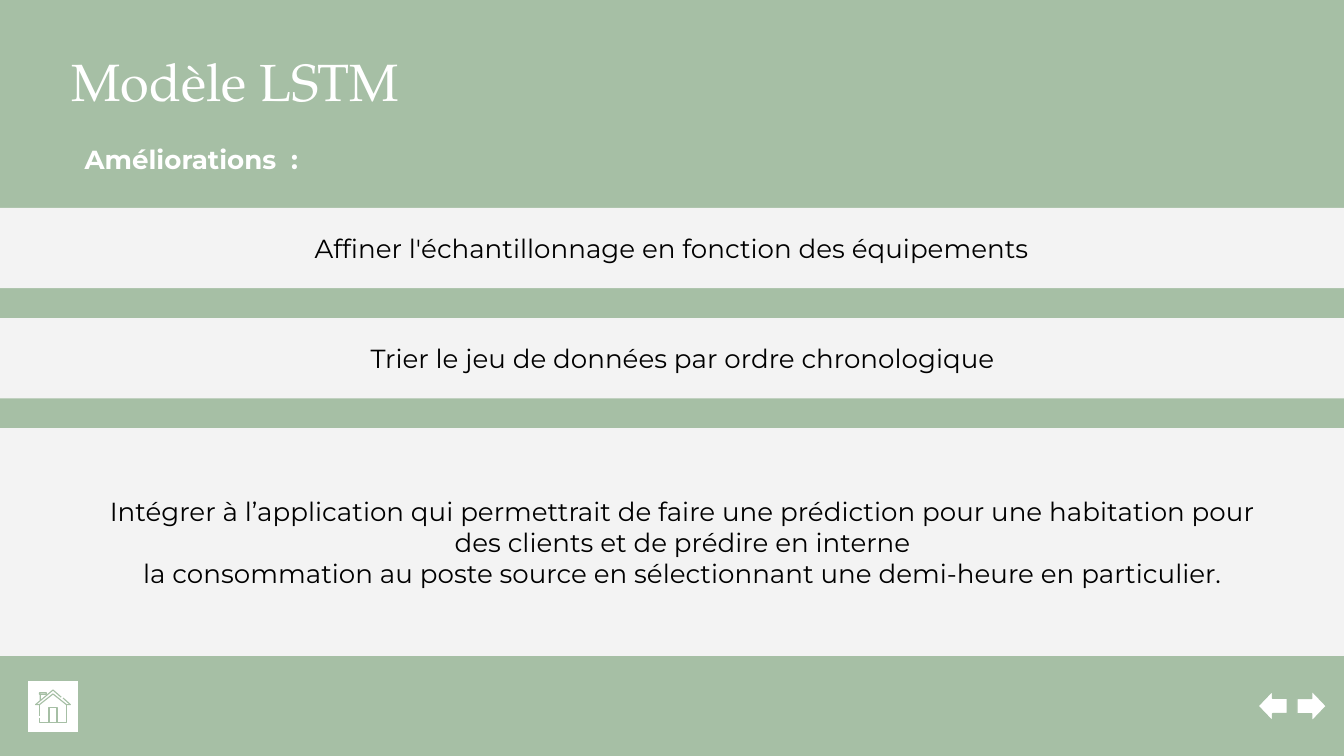
from pptx import Presentation
from pptx.dml.color import RGBColor
from pptx.enum.shapes import MSO_SHAPE
from pptx.enum.text import MSO_ANCHOR, MSO_AUTO_SIZE, PP_ALIGN
from pptx.util import Pt

COLORS = {"sage": "A6BFA5", "white": "FFFFFF", "band": "F3F3F3", "black": "000000"}
BODY_FONT = "Montserrat"
TITLE_FONT = "TeX Gyre Pagella"

# Bands: left, top, height, lines
BAND_WIDTH = 747.4
BANDS = [
    (-13.7, 111.4, 43, ["Affiner l'échantillonnage en fonction des équipements"]),
    (-7.9, 170.4, 43, ["Trier le jeu de données par ordre chronologique"]),
    (-7.9, 229.4, 122, [
        "Intégrer à l’application qui permettrait de faire une prédiction pour une habitation pour",
        "des clients et de prédire en interne",
        "la consommation au poste source en sélectionnant une demi-heure en particulier.",
    ]),
]

# Strokes of the house icon
ROOF = [(32.8, 373.5), (28.4, 369.7), (19.1, 377.5), (21.2, 377.5), (28.4, 371.8),
        (35.6, 377.5), (37.7, 377.5), (33.8, 374)]
CHIMNEY = [(21.6, 375.4), (21.6, 372), (21.2, 372), (21.2, 371.2), (24.8, 371.2),
           (24.8, 372.1), (21.6, 372)]
LEFT_WALL = [(21.2, 377.5), (21.2, 383.4)]
BASE = [(21.2, 384.6), (21.2, 387.1), (35.6, 387.1), (35.6, 377.5)]
DOOR = [(26.3, 387.1), (26.3, 379.3), (30.6, 379.3), (30.6, 387.1)]


def rgb(name):
    return RGBColor.from_string(COLORS[name])


def write_text(shape, lines, size=14, font=BODY_FONT, color="black", bold=False,
               align=PP_ALIGN.LEFT, anchor=MSO_ANCHOR.TOP):
    frame = shape.text_frame
    frame.word_wrap = True
    frame.auto_size = MSO_AUTO_SIZE.NONE
    frame.vertical_anchor = anchor
    frame.margin_left = frame.margin_right = Pt(7.2)
    frame.margin_top = frame.margin_bottom = Pt(7.2)
    frame.text = "\n".join(lines)
    for paragraph in frame.paragraphs:
        paragraph.alignment = align
        paragraph.font.size = Pt(size)
        paragraph.font.name = font
        paragraph.font.bold = bold
        paragraph.font.color.rgb = rgb(color)


def add_block(slide, preset, left, top, width, height, fill, line=None):
    block = slide.shapes.add_shape(preset, Pt(left), Pt(top), Pt(width), Pt(height))
    block.shadow.inherit = False
    block.fill.solid()
    block.fill.fore_color.rgb = rgb(fill)
    if line:
        block.line.color.rgb = rgb(line)
        block.line.width = Pt(0.75)
    else:
        block.line.fill.background()
    return block


def add_strokes(slide, strokes, color, width):
    builder = None
    for stroke in strokes:
        start, *rest = [(Pt(x), Pt(y)) for x, y in stroke]
        if builder is None:
            builder = slide.shapes.build_freeform(*start)
        else:
            builder.move_to(*start)
        builder.add_line_segments(rest, close=False)
    drawing = builder.convert_to_shape()
    drawing.shadow.inherit = False
    drawing.fill.background()
    drawing.line.color.rgb = rgb(color)
    drawing.line.width = Pt(width)


def add_title(slide, text):
    title = slide.shapes.title
    title.left, title.top, title.width, title.height = Pt(31), Pt(19.4), Pt(254), Pt(43.2)
    write_text(title, [text], size=28, font=TITLE_FONT, color="white")


def add_subtitle(slide, text):
    subtitle = slide.shapes.add_textbox(Pt(38.2), Pt(69.8), Pt(309.6), Pt(28))
    write_text(subtitle, [text], color="white", bold=True)


def add_navigation(slide):
    # Previous and next arrows
    for left, rotation in ((673.9, 0), (694.8, 180)):
        arrow = add_block(slide, MSO_SHAPE.LEFT_ARROW, left, 370, 15.8, 16.5, "white", "sage")
        arrow.rotation = rotation
    # Home button
    add_block(slide, MSO_SHAPE.RECTANGLE, 14.4, 364.3, 28, 28, "white", "sage")
    add_strokes(slide, [ROOF, CHIMNEY, LEFT_WALL, BASE, DOOR], "sage", 0.6)


def main():
    deck = Presentation()
    deck.slide_width, deck.slide_height = Pt(720), Pt(405)
    slide = deck.slides.add_slide(deck.slide_layouts[5])
    slide.background.fill.solid()
    slide.background.fill.fore_color.rgb = rgb("sage")

    add_navigation(slide)
    add_title(slide, "Modèle LSTM")
    add_subtitle(slide, "Améliorations  :")

    # Improvement bands
    for left, top, height, lines in BANDS:
        band = add_block(slide, MSO_SHAPE.RECTANGLE, left, top, BAND_WIDTH, height, "band")
        write_text(band, lines, align=PP_ALIGN.CENTER, anchor=MSO_ANCHOR.MIDDLE)

    deck.save("out.pptx")


if __name__ == "__main__":
    main()
